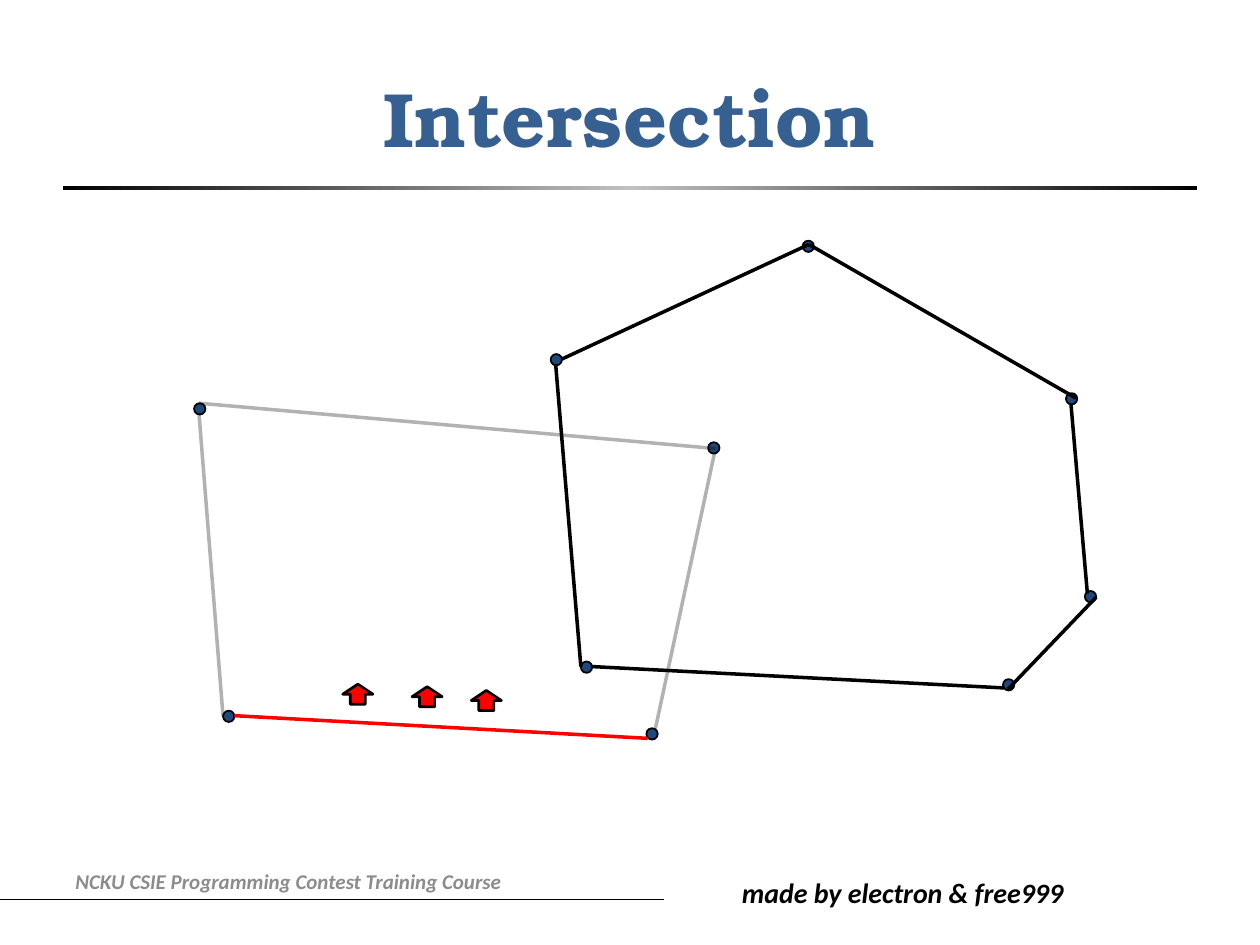
from lxml.etree import SubElement
from pptx import Presentation
from pptx.dml.color import RGBColor
from pptx.enum.shapes import MSO_CONNECTOR, MSO_SHAPE
from pptx.enum.text import MSO_ANCHOR, PP_ALIGN
from pptx.oxml.ns import qn
from pptx.util import Inches, Pt

W, H = 10, 7.5
DOT = 0.09


def color(value):
    return RGBColor.from_string(value)


def place(sp, x, y, w, h):
    sp.left, sp.top, sp.width, sp.height = (Inches(v) for v in (x, y, w, h))


def write(sp, text, size, font, hex_color, italic=False, align=PP_ALIGN.LEFT):
    tf = sp.text_frame
    tf.word_wrap = True
    tf.vertical_anchor = MSO_ANCHOR.MIDDLE
    p = tf.paragraphs[0]
    p.alignment = align
    r = p.add_run()
    r.text = text
    r.font.size, r.font.name = Pt(size), font
    r.font.bold, r.font.italic = True, italic
    r.font.color.rgb = color(hex_color)


def add_line(shapes, start, end, hex_color="000000", width=2, alpha=None):
    ends = [Inches(v) for v in (*start, *end)]
    line = shapes.add_connector(MSO_CONNECTOR.STRAIGHT, *ends)
    line.line.color.rgb = color(hex_color)
    line.line.width = Pt(width)
    sp_pr = line._element.spPr
    if alpha:
        fill = next(sp_pr.iter(qn("a:srgbClr")))
        SubElement(fill, qn("a:alpha")).set("val", str(alpha * 1000))
    SubElement(sp_pr, qn("a:effectLst"))


def add_solid(shapes, kind, box, fill, width):
    sp = shapes.add_shape(kind, *[Inches(v) for v in box])
    sp.shadow.inherit = False
    sp.fill.solid()
    sp.fill.fore_color.rgb = color(fill)
    sp.line.color.rgb = color("000000")
    sp.line.width = Pt(width)


def add_header(s, x, y, w, h):
    title = s.shapes.title
    place(title, x, y, w, h)
    write(title, "Intersection", 44, "TeX Gyre Bonum", "376092", align=PP_ALIGN.CENTER)
    rule = s.shapes.add_shape(MSO_SHAPE.RECTANGLE, 0, 0, 0, 0)
    place(rule, x, y + 1.18, w, 0.03)
    rule.shadow.inherit = False
    rule.line.fill.background()
    rule.fill.gradient()
    rule.fill.gradient_angle = 0
    stops = next(rule._element.iter(qn("a:gsLst")))
    for stop in list(stops):
        stops.remove(stop)
    for pos, value in ((0, "000000"), (50, "C0C0C0"), (100, "000000")):
        stop = SubElement(stops, qn("a:gs"), pos=str(pos * 1000))
        SubElement(stop, qn("a:srgbClr"), val=value)


def add_footer(s, y):
    add_line(s.shapes, (0, y + 0.35), (5.27, y + 0.35), width=0.5)
    for box, text, size, hex_color in (
        ((0.5, y, 4.66, 0.4), "NCKU CSIE Programming Contest Training Course", 12, "8C8C8C"),
        ((5.79, y + 0.11, 3.04, 0.37), "made by electron & free999", 16, "000000"),
    ):
        sp = s.shapes.add_textbox(0, 0, 0, 0)
        place(sp, *box)
        write(sp, text, size, "Calibri", hex_color, italic=True)


def add_polygon(s, x, y, dots, edges):
    shapes = s.shapes.add_group_shape().shapes
    for dx, dy in dots:
        add_solid(shapes, MSO_SHAPE.OVAL, (x + dx, y + dy, DOT, DOT), "1F497D", 1)
    for (x1, y1), (x2, y2), style in edges:
        add_line(shapes, (x + x1, y + y1), (x + x2, y + y2), **style)


def add_arrows(s, x, y, offsets):
    for dx, dy in offsets:
        add_solid(s.shapes, MSO_SHAPE.UP_ARROW, (x + dx, y + dy, 0.24, 0.16), "FF0000", 1.5)


prs = Presentation()
prs.slide_width, prs.slide_height = Inches(W), Inches(H)
s = prs.slides.add_slide(prs.slide_layouts[5])

BLACK, FADED, RED = {}, {"alpha": 30}, {"hex_color": "FF0000"}
HEXAGON_DOTS = [(3.59, 3.48), (4.24, 2.78), (4.09, 1.21), (2, 0), (0, 0.9), (0.24, 3.34)]
HEXAGON_EDGES = [
    ((0.32, 3.38), (3.6, 3.55), BLACK),
    ((4.33, 2.83), (3.63, 3.56), BLACK),
    ((4.13, 1.3), (4.26, 2.8), BLACK),
    ((2.05, 0.03), (4.17, 1.25), BLACK),
    ((0.09, 0.94), (2.05, 0.03), BLACK),
    ((0.04, 0.98), (0.24, 3.38), BLACK),
]
QUAD_DOTS = [(3.59, 2.58), (4.08, 0.31), (0, 0), (0.23, 2.44)]
QUAD_EDGES = [
    ((0.32, 2.48), (3.6, 2.66), RED),
    ((4.13, 0.4), (3.66, 2.59), FADED),
    ((0.04, 0.09), (0.23, 2.48), FADED),
    ((4.14, 0.36), (0.04, 0), FADED),
]

add_header(s, W * 0.05, H * 0.04, W * 0.9, 1.25)
add_footer(s, 6.79)
add_polygon(s, 4.37, 1.91, HEXAGON_DOTS, HEXAGON_EDGES)
add_polygon(s, 1.54, 3.2, QUAD_DOTS, QUAD_EDGES)
add_arrows(s, 2.72, 5.43, [(0, 0), (0.55, 0.02), (1.02, 0.05)])

prs.save("out.pptx")
